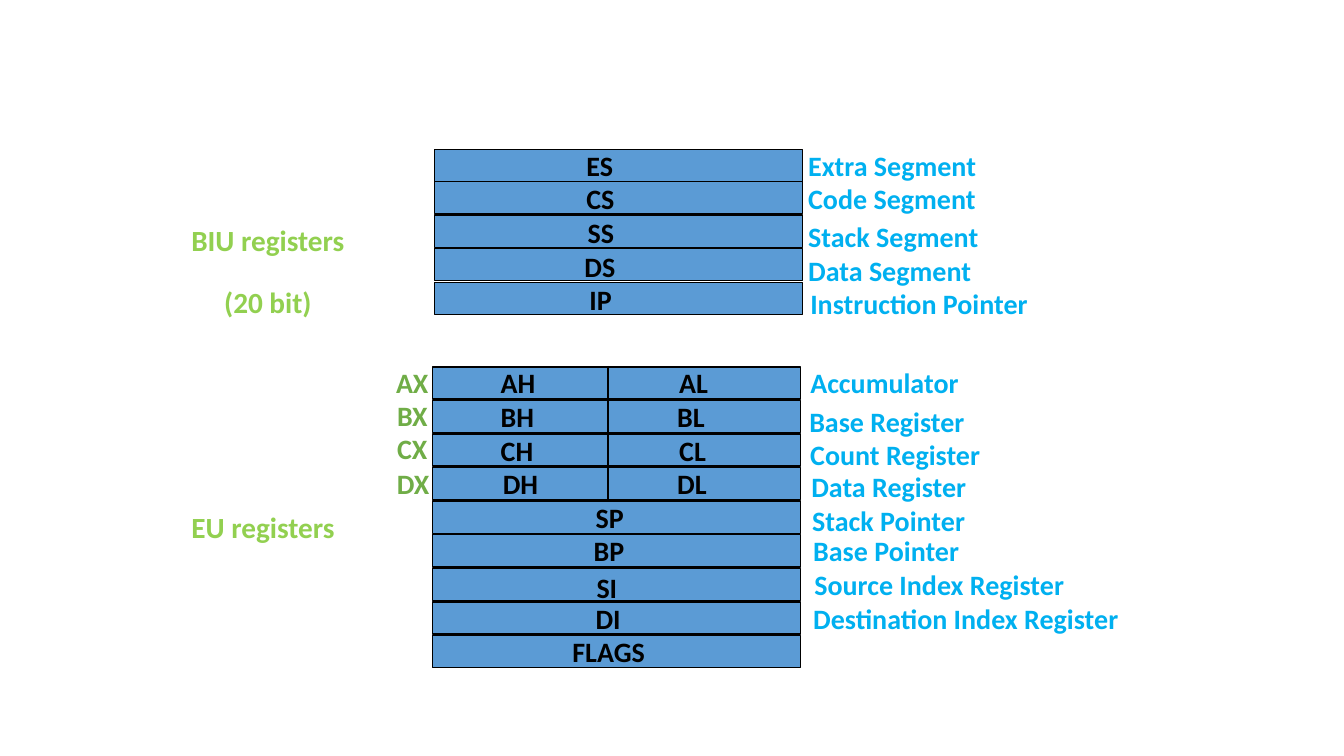
from pptx import Presentation
from pptx.dml.color import RGBColor
from pptx.enum.shapes import MSO_CONNECTOR, MSO_SHAPE
from pptx.enum.text import MSO_AUTO_SIZE, PP_ALIGN
from pptx.oxml.ns import qn
from pptx.util import Pt
from lxml.etree import SubElement

THEME = {
    "font": "Calibri",
    "label_size": 20,
    "heading_size": 36,
    "bar": "5B9BD5",
    "ink": "000000",
    "pair": "70AD47",
    "meaning": "00B0F0",
    "heading": "92D050",
}

# Each label: text, left, width, drop below its row.
BIU_ROWS = [
    [("ES", 411.8, 33.8, 0, "ink"), ("Extra Segment", 570.2, 135.4, 0, "meaning")],
    [("CS", 411.8, 35.3, 0, "ink"), ("Code Segment", 570.2, 135.4, 0, "meaning")],
    [("SS", 412.6, 33.8, 0, "ink"), ("Stack Segment", 570.2, 137.5, 3, "meaning")],
    [("DS", 410.4, 36.7, 0, "ink"), ("Data Segment", 570.2, 131.8, 3, "meaning")],
    [("IP", 414, 31, 0, "ink"), ("Instruction Pointer", 571.7, 171.4, 2.7, "meaning")],
]
EU_ROWS = [
    [("AX", 275.8, 38.2, 0, "pair"), ("AH", 350.6, 39.6, 0, "ink"),
     ("AL", 478.1, 35.3, 0, "ink"), ("Accumulator", 571.7, 121.7, 0, "meaning")],
    [("BX", 276.5, 36.7, -1, "pair"), ("BH", 350.6, 38.9, 0, "ink"),
     ("BL", 476.6, 34.6, 0, "ink"), ("Base Register", 571, 126.7, 3.3, "meaning")],
    [("CX", 276.5, 36.7, -1, "pair"), ("CH", 350.6, 38.2, 0, "ink"),
     ("CL", 478.1, 33.8, 0, "ink"), ("Count Register", 571.7, 136.8, 3.2, "meaning")],
    [("DX", 276.5, 38.2, 0, "pair"), ("DH", 352.1, 40.3, 0, "ink"),
     ("DL", 476.6, 36, 0, "ink"), ("Data Register", 572.4, 126, 2.2, "meaning")],
    [("SP", 418.3, 35.3, 0, "ink"), ("Stack Pointer", 573.1, 124.6, 2, "meaning")],
    [("BP", 416.9, 36.7, 0, "ink"), ("Base Pointer", 573.8, 119.5, 0, "meaning")],
    [("SI", 419, 29.5, 2.2, "ink"), ("Source Index Register", 574.6, 195.1, 0, "meaning")],
    [("DI", 418.3, 33.1, 0, "ink"), ("Destination Index Register", 573.8, 234.7, 0, "meaning")],
    [("FLAGS", 401.8, 67, 0, "ink")],
]
HEADINGS = [
    (["BIU registers", "(20 bit)"], 131.8, 141.8, 59.8),
    (["EU registers"], 337, 133.2, 33.8),
]
HEADING_LEFT = 129.6
PITCH, BAR_WIDTH, BAR_HEIGHT, LABEL_HEIGHT = 24, 262.8, 23, 28.8
BANKS = [
    (BIU_ROWS, 310.3, [106.6] + [129.6 + PITCH * row for row in range(4)], 105.1),
    (EU_ROWS, 308.9, [262 + PITCH * row for row in range(9)], 260.6),
]
DIVIDER_X, DIVIDER_TOP, DIVIDER_BOTTOM = 434.2, 261.4, 357.1


def add_text(page, lines, left, top, width, height, color, size, baseline=None):
    box = page.shapes.add_textbox(Pt(left), Pt(top), Pt(width), Pt(height))
    frame = box.text_frame
    frame.word_wrap = False
    frame.auto_size = MSO_AUTO_SIZE.SHAPE_TO_FIT_TEXT
    for index, line in enumerate(lines):
        para = frame.add_paragraph() if index else frame.paragraphs[0]
        para.line_spacing = 0.9
        para.alignment = PP_ALIGN.CENTER if index else PP_ALIGN.LEFT
        span = para.add_run()
        span.text = line
        span.font.name = THEME["font"]
        span.font.size = Pt(size)
        span.font.bold = True
        span.font.color.rgb = RGBColor.from_string(color)
        if baseline is not None:
            span._r.get_or_add_rPr().set("baseline", str(baseline))


def set_line(line):
    line.color.rgb = RGBColor.from_string(THEME["ink"])
    line.width = Pt(1)


def add_bar(page, left, top):
    bar = page.shapes.add_shape(
        MSO_SHAPE.RECTANGLE, Pt(left), Pt(top), Pt(BAR_WIDTH), Pt(BAR_HEIGHT))
    bar.shadow.inherit = False
    bar.fill.solid()
    bar.fill.fore_color.rgb = RGBColor.from_string(THEME["bar"])
    set_line(bar.line)


def add_divider(page):
    divider = page.shapes.add_connector(
        MSO_CONNECTOR.STRAIGHT,
        Pt(DIVIDER_X), Pt(DIVIDER_TOP), Pt(DIVIDER_X), Pt(DIVIDER_BOTTOM))
    set_line(divider.line)
    SubElement(divider._element.spPr, qn("a:effectLst"))


def main():
    deck = Presentation()
    deck.slide_width, deck.slide_height = Pt(960), Pt(540)
    page = deck.slides.add_slide(deck.slide_layouts[6])
    for rows, bar_left, bar_tops, label_top in BANKS:
        for bar_top in bar_tops:
            add_bar(page, bar_left, bar_top)
        for row, labels in enumerate(rows):
            for text, left, width, drop, role in labels:
                add_text(page, [text], left, label_top + PITCH * row + drop, width,
                         LABEL_HEIGHT, color=THEME[role], size=THEME["label_size"])
    add_divider(page)
    for lines, top, width, height in HEADINGS:
        add_text(page, lines, HEADING_LEFT, top, width, height,
                 color=THEME["heading"], size=THEME["heading_size"], baseline=-25000)
    deck.save("out.pptx")


if __name__ == "__main__":
    main()
